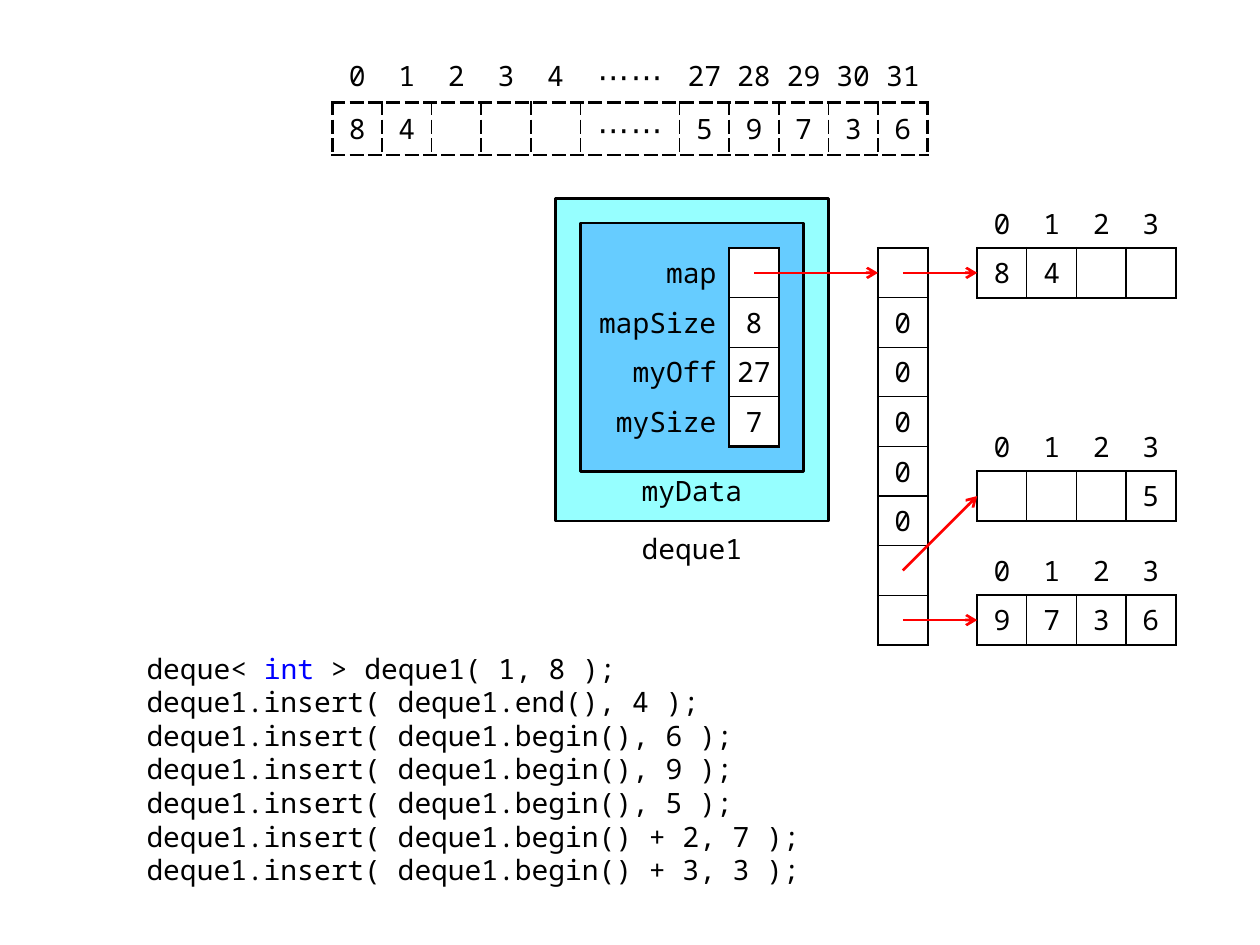
"""Build a slide showing the memory layout of a deque and the code behind it."""
from lxml import etree
from pptx import Presentation
from pptx.dml.color import RGBColor
from pptx.enum.shapes import MSO_CONNECTOR, MSO_SHAPE
from pptx.enum.text import MSO_ANCHOR, PP_ALIGN
from pptx.oxml.ns import qn
from pptx.util import Pt

STRAIGHT, PROCESS = MSO_CONNECTOR.STRAIGHT, MSO_SHAPE.FLOWCHART_PROCESS
TOP, MIDDLE = MSO_ANCHOR.TOP, MSO_ANCHOR.MIDDLE
LEFT, CENTER, RIGHT = PP_ALIGN.LEFT, PP_ALIGN.CENTER, PP_ALIGN.RIGHT

BLACK, WHITE = RGBColor(0, 0, 0), RGBColor(255, 255, 255)
RED, BLUE = RGBColor(255, 0, 0), RGBColor(0, 0, 255)
CYAN, SKY = RGBColor(0x96, 0xFF, 0xFF), RGBColor(0x66, 0xCC, 0xFF)
FONT = "Noto Sans Mono"
NO_STYLE = "{2D5ABB26-0587-4C30-8999-92F81FD0307C}"
PX = 7200
CELL = 50
DOTS = "⋯⋯"

SEQUENCE = [["0", "1", "2", "3", "4", DOTS, "27", "28", "29", "30", "31"],
            ["8", "4", "", "", "", DOTS, "5", "9", "7", "3", "6"]]
FIELDS = [["map", ""], ["mapSize", "8"], ["myOff", "27"], ["mySize", "7"]]
MAP = ["", "0", "0", "0", "0", "0", "", ""]
BLOCKS = [(0, 200, ["8", "4", "", ""]),
          (6, 425, ["", "", "", "5"]),
          (7, 550, ["9", "7", "3", "6"])]
BOXES = [(560, 200, 275, 325, CYAN), (585, 225, 225, 250, SKY)]
CAPTIONS = [("deque1", 610, 525, 175, MIDDLE, 5), ("myData", 635, 475, 125, TOP, 2)]
CODE = [[("deque< ", BLACK), ("int", BLUE), (" > deque1( 1, 8 );", BLACK)]] + [
    [(f"deque1.insert( deque1.{args} );", BLACK)]
    for args in ("end(), 4", "begin(), 6", "begin(), 9", "begin(), 5",
                 "begin() + 2, 7", "begin() + 3, 3")]
MAP_X, MAP_Y, BLOCK_X = 885, 250, 985


def px(*values):
    return [v * PX for v in values]


def add_run(p, text, color=BLACK, size=16):
    r = p.add_run()
    r.text = text
    r.font.size, r.font.name = Pt(size), FONT
    r.font.color.rgb = color
    etree.SubElement(r.font._element, qn("a:ea"), typeface=FONT)
    return r


def set_margins(target, side, top, bottom):
    target.margin_left, target.margin_right = px(side, side)
    target.margin_top, target.margin_bottom = px(top, bottom)


def add_border(cell, side, width, dash):
    ln = etree.SubElement(cell._tc.get_or_add_tcPr(), qn(f"a:ln{side}"), w=str(Pt(width)))
    fill = etree.SubElement(ln, qn("a:solidFill"))
    etree.SubElement(fill, qn("a:srgbClr"), val=str(BLACK))
    etree.SubElement(ln, qn("a:prstDash"), val=dash)


def fill_cell(cell, text, align, side):
    cell.vertical_anchor = MIDDLE
    set_margins(cell, side, 5, 5)
    p = cell.text_frame.paragraphs[0]
    p.alignment = align
    if text == DOTS:
        add_run(p, text[0], size=18).font._element.set("spc", "100")
        add_run(p, text[1], size=18)
    elif text:
        add_run(p, text)


def add_grid(s, x, y, rows, widths, first=(0, 0), thin=0.75, dash="solid"):
    """Draw a table whose cells from `first` on are boxed and the rest are labels."""
    n_rows, n_cols = len(rows), len(widths)
    frame = s.shapes.add_table(n_rows, n_cols, *px(x, y, sum(widths), n_rows * CELL))
    table = frame.table
    table.first_row = table.horz_banding = False
    frame._element.xpath(".//a:tableStyleId")[0].text = NO_STYLE
    for column, width in zip(table.columns, widths):
        column.width = width * PX
    for i, row in enumerate(rows):
        table.rows[i].height = CELL * PX
        for j, text in enumerate(row):
            cell = table.cell(i, j)
            is_name = j < first[1]
            fill_cell(cell, text, RIGHT if is_name else CENTER, 13 if is_name else 5)
            if i < first[0] or is_name:
                cell.fill.background()
                continue
            edges = {"L": j == first[1], "R": j == n_cols - 1,
                     "T": i == first[0], "B": i == n_rows - 1}
            for side, outer in edges.items():
                add_border(cell, side, 1.5 if outer else thin, dash)
            cell.fill.solid()
            cell.fill.fore_color.rgb = WHITE


def add_arrow(s, x1, y1, x2, y2):
    arrow = s.shapes.add_connector(STRAIGHT, *px(x1, y1, x2, y2))
    arrow.line.color.rgb, arrow.line.width = RED, Pt(1.5)
    etree.SubElement(arrow.line._get_or_add_ln(), qn("a:tailEnd"), type="arrow")
    etree.SubElement(arrow._element.spPr, qn("a:effectLst"))


def add_box(s, x, y, w, h, color):
    sp = s.shapes.add_shape(PROCESS, *px(x, y, w, h))
    sp.shadow.inherit = False
    sp.fill.solid()
    sp.fill.fore_color.rgb = color
    sp.line.color.rgb, sp.line.width = BLACK, Pt(1.5)


def add_caption(s, text, x, y, w, anchor, top):
    tf = s.shapes.add_textbox(*px(x, y, w, CELL)).text_frame
    tf.word_wrap, tf.vertical_anchor = True, anchor
    set_margins(tf, 10, top, 0)
    p = tf.paragraphs[0]
    p.alignment = CENTER
    add_run(p, text)


def add_code(sp):
    sp.left, sp.top, sp.width, sp.height = px(135, 650, 700, 250)
    tf = sp.text_frame
    tf.vertical_anchor = TOP
    for i, line in enumerate(CODE):
        p = tf.add_paragraph() if i else tf.paragraphs[0]
        p.alignment, p.line_spacing = LEFT, Pt(19.2)
        p.space_before = p.space_after = Pt(0)
        pPr = p._p.get_or_add_pPr()
        pPr.set("marL", "0")
        pPr.set("indent", "0")
        etree.SubElement(pPr, qn("a:buNone"))
        for text, color in line:
            add_run(p, text, color)


def main():
    prs = Presentation()
    prs.slide_width, prs.slide_height = Pt(720), Pt(540)
    s = prs.slides.add_slide(prs.slide_layouts[1])
    title = s.shapes.title._element
    title.getparent().remove(title)
    add_code(s.placeholders[1])

    widths = [CELL * len(t) if t == DOTS else CELL for t in SEQUENCE[0]]
    add_grid(s, 335, 50, SEQUENCE, widths, first=(1, 0), thin=1, dash="sysDash")
    for box in BOXES:
        add_box(s, *box)
    for caption in CAPTIONS:
        add_caption(s, *caption)
    add_grid(s, 585, MAP_Y, FIELDS, [3 * CELL, CELL], first=(0, 1))
    add_grid(s, MAP_X, MAP_Y, [[v] for v in MAP], [CELL])
    half = CELL // 2
    add_arrow(s, 760, MAP_Y + half, MAP_X, MAP_Y + half)
    for row, y, values in BLOCKS:
        indices = [str(i) for i in range(len(values))]
        add_grid(s, BLOCK_X, y, [indices, values], [CELL] * len(values), first=(1, 0))
        add_arrow(s, MAP_X + half, MAP_Y + row * CELL + half, BLOCK_X, y + CELL + half)
    prs.save("out.pptx")


if __name__ == "__main__":
    main()
